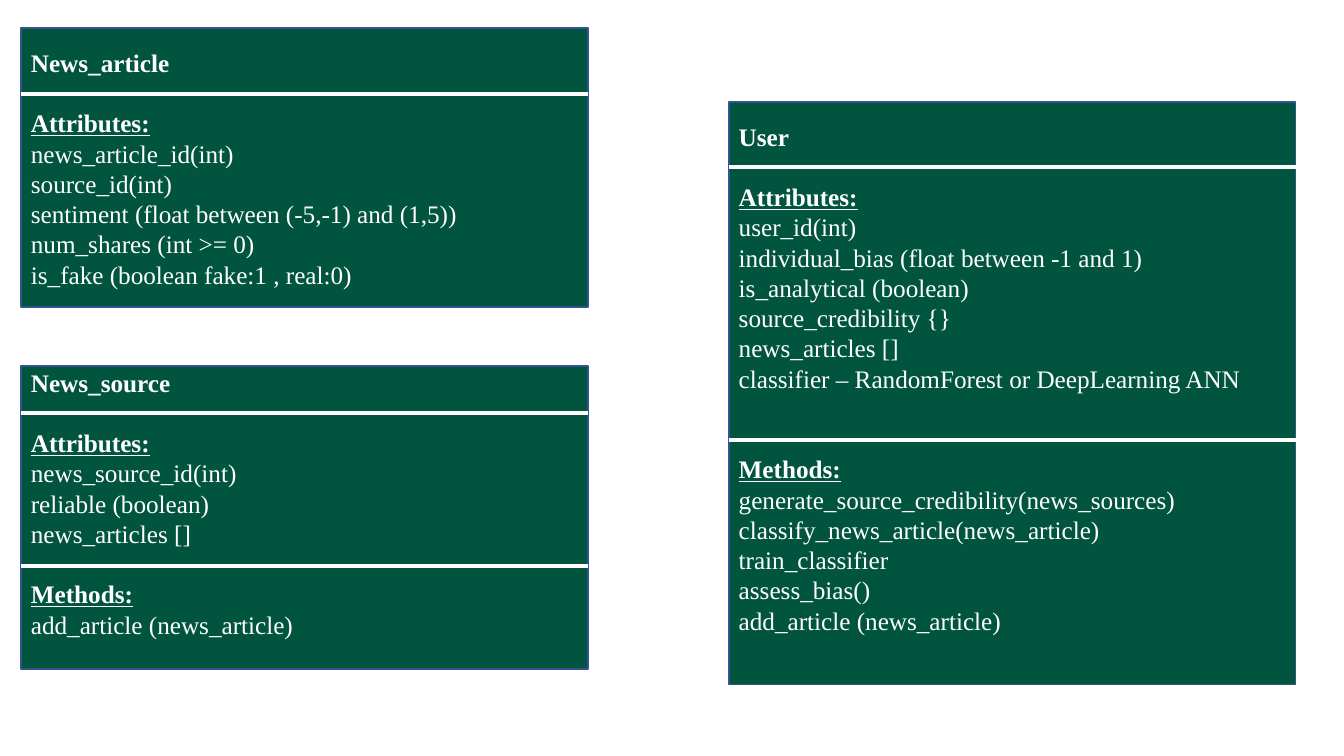
from lxml import etree
from pptx import Presentation
from pptx.dml.color import RGBColor
from pptx.enum import shapes, text
from pptx.oxml import ns
from pptx.util import Pt

COLORS = {"box": "01553E", "border": "325491", "ink": "FFFFFF"}
FONT = "Times New Roman"
LINE_HEIGHT = 21.6
BOX_WIDTH = 405

# Each section is (heading, space above it in lines, entries).
ARTICLE = [
    ("Attributes:", 1, [
        "news_article_id(int)",
        "source_id(int)",
        "sentiment (float between (-5,-1) and (1,5))",
        "num_shares (int >= 0)",
        "is_fake (boolean fake:1 , real:0)",
    ]),
]
SOURCE = [
    ("Attributes:", 1, [
        "news_source_id(int)",
        "reliable (boolean)",
        "news_articles []",
    ]),
    ("Methods:", 1, ["add_article (news_article)"]),
]
USER = [
    ("Attributes:", 1, [
        "user_id(int)",
        "individual_bias (float between -1 and 1)",
        "is_analytical (boolean)",
        "source_credibility {}",
        "news_articles []",
        "classifier – RandomForest or DeepLearning ANN",
    ]),
    ("Methods:", 2, [
        "generate_source_credibility(news_sources)",
        "classify_news_article(news_article)",
        "train_classifier",
        "assess_bias()",
        "add_article (news_article)",
    ]),
]


def color(name):
    return RGBColor.from_string(COLORS[name])


def add_box(group, left, top, height, inset):
    sp = group.shapes.add_shape(shapes.MSO_SHAPE.RECTANGLE, Pt(left), Pt(top),
                                Pt(BOX_WIDTH), Pt(height))
    sp.shadow.inherit = False
    sp.fill.solid()
    sp.fill.fore_color.rgb = color("box")
    sp.line.color.rgb = color("border")
    sp.line.width = Pt(1)
    tf = sp.text_frame
    tf.word_wrap = True
    tf.vertical_anchor = text.MSO_ANCHOR.TOP
    tf.margin_top = Pt(inset)
    tf.margin_bottom = 0
    return tf


def write_line(p, line, bold=False, underline=False, lines_above=0):
    p.text = line
    p.alignment = text.PP_ALIGN.LEFT
    p.line_spacing = Pt(LINE_HEIGHT)
    p.space_before = Pt(lines_above * LINE_HEIGHT)
    font = p.runs[0].font
    font.name = FONT
    font.size = Pt(18)
    font.bold = bold
    font.underline = underline
    font.color.rgb = color("ink")


def add_divider(group, left, y):
    line = group.shapes.add_connector(shapes.MSO_CONNECTOR.STRAIGHT, Pt(left),
                                      Pt(y), Pt(left + BOX_WIDTH), Pt(y))
    line.line.color.rgb = color("ink")
    line.line.width = Pt(3)
    etree.SubElement(line._element.spPr, ns.qn("a:effectLst"))


def add_class(slide, name, left, top, height, inset, dividers, sections):
    """Draw a class box: its name, then sections split by dividers."""
    group = slide.shapes.add_group_shape()
    tf = add_box(group, left, top, height, inset)
    write_line(tf.paragraphs[0], name, bold=True)
    for heading, lines_above, entries in sections:
        write_line(tf.add_paragraph(), heading, True, True, lines_above)
        for entry in entries:
            write_line(tf.add_paragraph(), entry)
    for y in dividers:
        add_divider(group, left, y)


def main():
    prs = Presentation()
    prs.slide_width, prs.slide_height = Pt(960), Pt(540)
    slide = prs.slides.add_slide(prs.slide_layouts[6])
    add_class(slide, "News_article", 15, 20, 199.4, 13.7, [67], ARTICLE)
    add_class(slide, "News_source", 15, 261.5, 216.5, 0.7, [295.2, 404.5], SOURCE)
    add_class(slide, "User", 520.6, 72.8, 416, 13.7, [119.5, 314.5], USER)
    prs.save("out.pptx")


if __name__ == "__main__":
    main()
